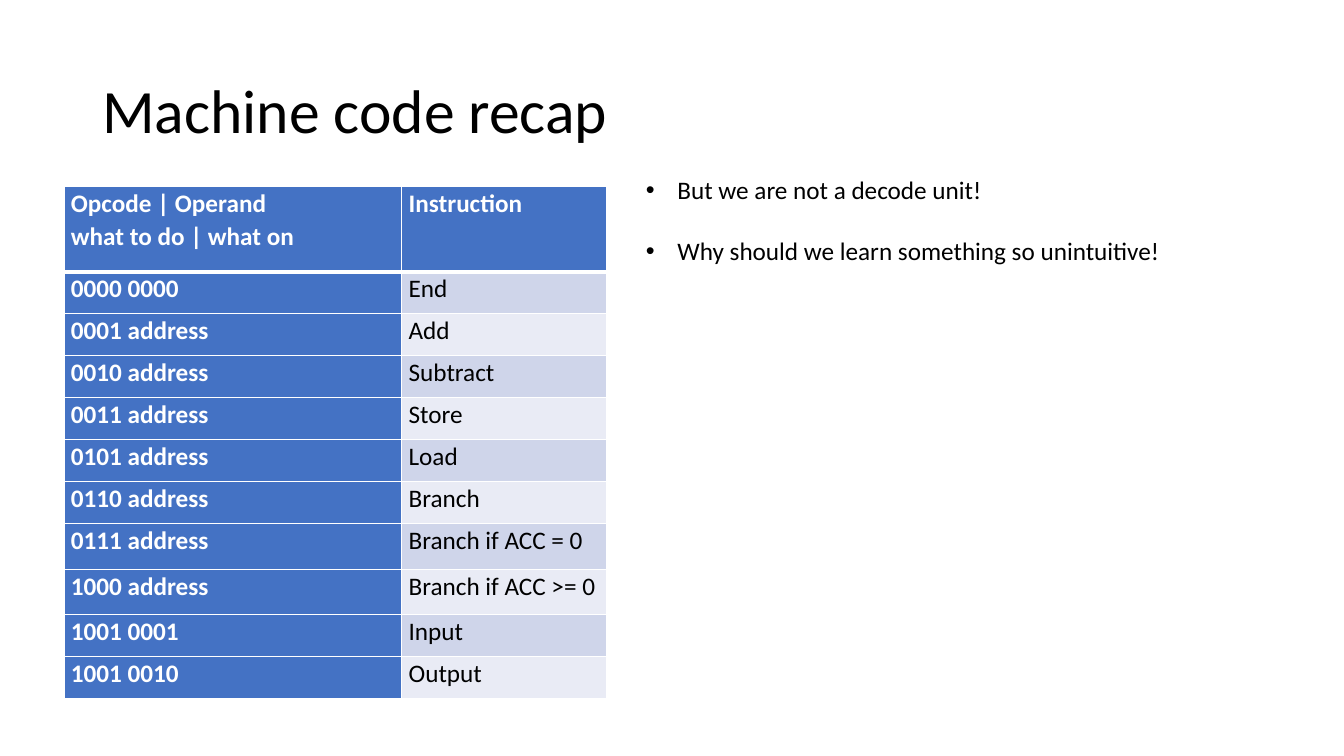
from lxml import etree
from pptx import Presentation
from pptx.dml.color import RGBColor
from pptx.enum.text import MSO_ANCHOR
from pptx.oxml.ns import qn
from pptx.util import Pt

MIDDLE, TOP = MSO_ANCHOR.MIDDLE, MSO_ANCHOR.TOP

COLORS = {
    "text": "000000",
    "white": "FFFFFF",
    "header": "4472C4",
    "odd_row": "CFD5EA",
    "even_row": "E9EBF5",
}
HEADINGS = ("Opcode | Operand \vwhat to do | what on", "Instruction")
INSTRUCTIONS = [
    ("0000 0000", "End"),
    ("0001 address", "Add"),
    ("0010 address", "Subtract"),
    ("0011 address", "Store"),
    ("0101 address", "Load"),
    ("0110 address", "Branch"),
    ("0111 address", "Branch if ACC = 0"),
    ("1000 address", "Branch if ACC >= 0"),
    ("1001 0001", "Input"),
    ("1001 0010", "Output"),
]
REMARKS = ["But we are not a decode unit!",
           "Why should we learn something so unintuitive!"]


class SlideBuilder:
    font_name = "Calibri"
    body_size = 18
    bullet_indent = 22.5
    bullet_gap = 22

    def __init__(self, slide):
        self.slide = slide

    def format_paragraph(self, paragraph, size, color="text", bold=False, spacing=None):
        paragraph.line_spacing = spacing
        for run in paragraph.runs:
            run.font.name = self.font_name
            run.font.size = Pt(size)
            run.font.bold = bold
            run.font.color.rgb = RGBColor.from_string(COLORS[color])

    def text_box(self, left, top, width, height, text, size, anchor=TOP, spacing=None):
        box = self.slide.shapes.add_textbox(Pt(left), Pt(top), Pt(width), Pt(height))
        frame = box.text_frame
        frame.word_wrap = True
        frame.vertical_anchor = anchor
        frame.text = text
        for paragraph in frame.paragraphs:
            self.format_paragraph(paragraph, size, spacing=spacing)
        return frame

    def bullets(self, left, top, width, height, items):
        frame = self.text_box(left, top, width, height, "\n".join(items), self.body_size)
        for index, paragraph in enumerate(frame.paragraphs):
            paragraph.space_before = Pt(self.bullet_gap if index else 0)
            properties = paragraph._p.get_or_add_pPr()
            properties.set("marL", str(Pt(self.bullet_indent)))
            properties.set("indent", str(-Pt(self.bullet_indent)))
            etree.SubElement(properties, qn("a:buFont"), typeface="Arial")
            etree.SubElement(properties, qn("a:buChar"), char="•")

    def cell_borders(self, cell, bottom_width, top_width):
        properties = cell._tc.get_or_add_tcPr()
        widths = {"a:lnL": 1, "a:lnR": 1, "a:lnT": top_width, "a:lnB": bottom_width}
        for tag, width in widths.items():
            line = etree.SubElement(properties, qn(tag), w=str(Pt(width)))
            fill = etree.SubElement(line, qn("a:solidFill"))
            etree.SubElement(fill, qn("a:srgbClr"), val=COLORS["white"])

    def table(self, left, top, column_widths, row_heights, rows):
        table = self.slide.shapes.add_table(
            len(rows), len(column_widths), Pt(left), Pt(top),
            Pt(sum(column_widths)), Pt(sum(row_heights))).table
        table.first_col = True
        for column, width in zip(table.columns, column_widths):
            column.width = Pt(width)
        for row_index, (height, texts) in enumerate(zip(row_heights, rows)):
            table.rows[row_index].height = Pt(height)
            band = "odd_row" if row_index % 2 else "even_row"
            for column_index, text in enumerate(texts):
                heading = row_index == 0 or column_index == 0
                cell = table.cell(row_index, column_index)
                cell.margin_left = cell.margin_right = Pt(5)
                cell.margin_top = cell.margin_bottom = 0
                paragraph = cell.text_frame.paragraphs[0]
                paragraph.text = text
                self.format_paragraph(paragraph, self.body_size,
                                      "white" if heading else "text", heading, 1.07)
                self.cell_borders(cell, bottom_width=3 if row_index == 0 else 1,
                                  top_width=3 if row_index == 1 else 1)
                cell.fill.solid()
                cell.fill.fore_color.rgb = RGBColor.from_string(
                    COLORS["header" if heading else band])


presentation = Presentation()
presentation.slide_width, presentation.slide_height = Pt(960), Pt(540)
builder = SlideBuilder(presentation.slides.add_slide(presentation.slide_layouts[6]))

# Title
builder.text_box(66, 28.75, 828, 104.4, "Machine code recap", 44, MIDDLE, 0.9)

# Instruction table, with taller rows for the conditional branches
row_heights = [61] + [32.4 if name.startswith("Branch if") else 30
                      for _, name in INSTRUCTIONS]
builder.table(45.7, 133.2, [241.2, 146.2], row_heights, [HEADINGS] + INSTRUCTIONS)

# Remarks
builder.bullets(454.3, 121, 460, 72.7, REMARKS)

presentation.save("out.pptx")
